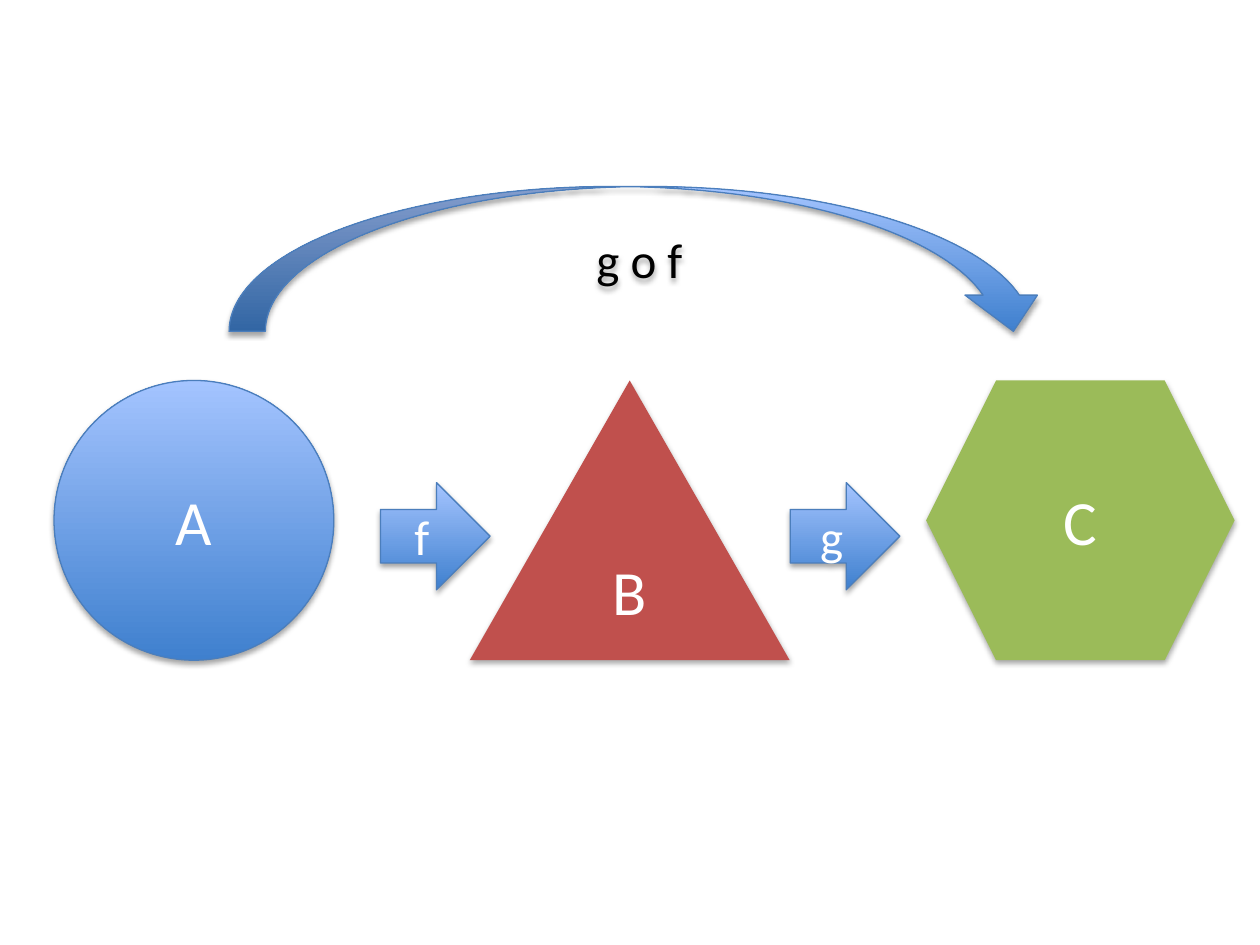
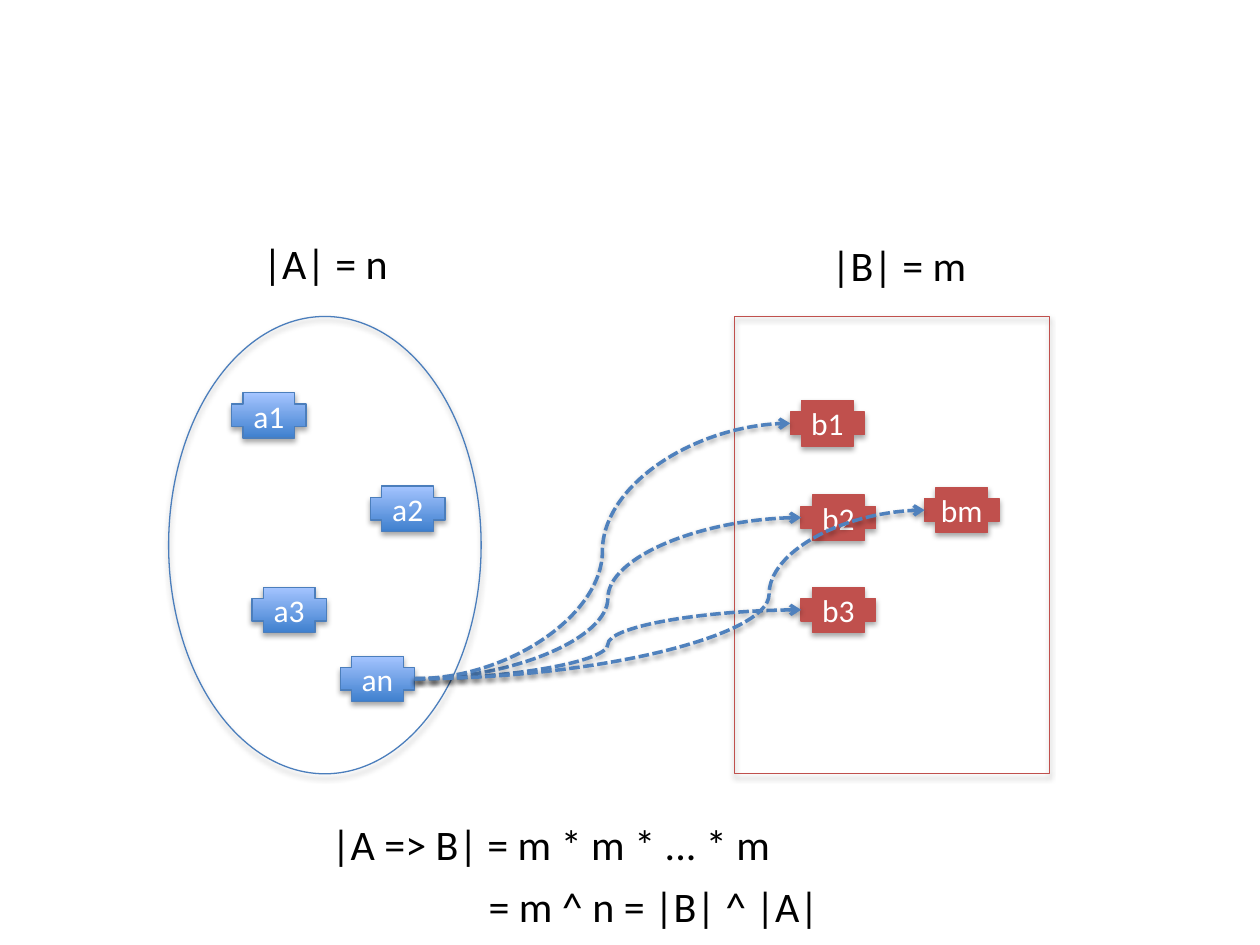
import lxml.etree
import pptx
import pptx.dml.color
import pptx.enum.dml
import pptx.enum.shapes
import pptx.enum.text
import pptx.oxml.ns
import pptx.util

Cm = pptx.util.Cm
Pt = pptx.util.Pt
PRESET = pptx.enum.shapes.MSO_SHAPE
qn = pptx.oxml.ns.qn

FONT = "Calibri"
WHITE, BLACK = "FFFFFF", "000000"
RED, GREEN = "C0504D", "9BBB59"
BLUE_GRADIENT = ("3F80CE", "A4C4FF")
BLUE_EDGE, BLUE_CURVE = "4B7EBC", "4F81BD"

OBJECT_TOP, OBJECT_HEIGHT = 7.67, 5.64
OBJECTS = [
    ("C", PRESET.HEXAGON, 18.67, 6.22, GREEN, None),
    ("A", PRESET.OVAL, 1.09, 5.64, BLUE_GRADIENT, BLUE_EDGE),
    ("B", PRESET.ISOSCELES_TRIANGLE, 9.47, 6.45, RED, None),
]
MORPHISMS = [
    ("f", PRESET.RIGHT_ARROW, (7.67, 9.73, 2.21, 2.16), WHITE),
    ("g", PRESET.RIGHT_ARROW, (15.93, 9.73, 2.21, 2.16), WHITE),
    ("g o f", PRESET.CURVED_DOWN_ARROW, (4.62, 3.76, 16.54, 2.92), BLACK),
]

SET_TOP, SET_HEIGHT = 6.38, 9.22
ELEMENT_SIZE = (1.5, 0.91)
A_ELEMENTS = {"a1": (4.67, 7.92), "a2": (7.47, 9.8), "a3": (5.08, 11.84), "an": (6.86, 13.23)}
B_ELEMENTS = {"b1": (15.93, 8.08), "b2": (16.15, 9.98), "b3": (16.15, 11.84), "bm": (18.64, 9.83)}
MAPPINGS = [("b3", 50000), ("b2", 50000), ("b1", 50000), ("bm", 69500)]
FORMULAS = [
    ("|A| = n", 5.05, 4.67, 3.05, False),
    ("|B| = m", 16.51, 4.7, 3.25, False),
    ("|A => B| = m * m * ... * m", 6.43, 16.38, 9.45, False),
    ("= m ^ n = |B| ^ |A|", 9.6, 17.63, 7.37, True),
]


def color(value):
    return pptx.dml.color.RGBColor.from_string(value)


def add_child(parent, tag, **attributes):
    return lxml.etree.SubElement(parent, qn(tag), attributes)


def add_shadow(effects, distance, opacity):
    shadow = add_child(effects, "a:outerShdw", blurRad="40000", dist=str(distance),
                       dir="5400000", rotWithShape="0")
    add_child(add_child(shadow, "a:srgbClr", val=BLACK), "a:alpha", val=str(opacity))


def write(shape, text, size, text_color):
    paragraph = shape.text_frame.paragraphs[0]
    paragraph.text = text
    font = paragraph.runs[0].font
    font.name = FONT
    font.size = Pt(size)
    font.color.rgb = color(text_color)
    return paragraph


def add_figure(slide, preset, box, fill, edge, text="", size=18, text_color=WHITE):
    shape = slide.shapes.add_shape(preset, *map(Cm, box))
    if fill is None:
        shape.fill.background()
    elif isinstance(fill, tuple):
        shape.fill.gradient()
        shape.fill.gradient_angle = 90
        for stop, value in zip(shape.fill.gradient_stops, fill):
            stop.color.rgb = color(value)
    else:
        shape.fill.solid()
        shape.fill.fore_color.rgb = color(fill)
    if edge is None:
        shape.line.fill.background()
    else:
        shape.line.color.rgb = color(edge)
        shape.line.width = Pt(0.75)
    shape.shadow.inherit = False
    add_shadow(shape._element.spPr.find(qn("a:effectLst")), 23000, 35000)
    if text:
        paragraph = write(shape, text, size, text_color)
        paragraph.alignment = pptx.enum.text.PP_ALIGN.CENTER
        shape.text_frame.vertical_anchor = pptx.enum.text.MSO_ANCHOR.MIDDLE
    return shape


def add_formula(slide, text, left, top, width, wrap):
    box = slide.shapes.add_textbox(Cm(left), Cm(top), Cm(width), Cm(1.27))
    box.text_frame.word_wrap = wrap
    box.text_frame.auto_size = pptx.enum.text.MSO_AUTO_SIZE.SHAPE_TO_FIT_TEXT
    write(box, text, 24, BLACK)


def add_mapping(slide, source, target, bend):
    connector = slide.shapes.add_connector(
        pptx.enum.shapes.MSO_CONNECTOR.CURVE,
        source.left + source.width, source.top + source.height // 2,
        target.left, target.top + target.height // 2)
    connector.begin_connect(source, 3)
    connector.end_connect(target, 1)
    connector.line.color.rgb = color(BLUE_CURVE)
    connector.line.width = Pt(2)
    connector.line.dash_style = pptx.enum.dml.MSO_LINE.SQUARE_DOT
    properties = connector._element.spPr
    add_child(properties.find(qn("a:ln")), "a:tailEnd", type="arrow")
    add_shadow(add_child(properties, "a:effectLst"), 20000, 38000)
    adjustments = properties.find(qn("a:prstGeom")).find(qn("a:avLst"))
    add_child(adjustments, "a:gd", name="adj1", fmla=f"val {bend}")


def build_composition(slide):
    for text, preset, box, text_color in MORPHISMS:
        add_figure(slide, preset, box, BLUE_GRADIENT, BLUE_EDGE, text, 28, text_color)
    for text, preset, left, width, fill, edge in OBJECTS:
        box = (left, OBJECT_TOP, width, OBJECT_HEIGHT)
        add_figure(slide, preset, box, fill, edge, text, 36)


def build_function_count(slide):
    add_figure(slide, PRESET.OVAL, (3.4, SET_TOP, 6.3, SET_HEIGHT), None, BLUE_EDGE)
    elements = {}
    for members, fill, edge in ((A_ELEMENTS, BLUE_GRADIENT, BLUE_EDGE), (B_ELEMENTS, RED, RED)):
        for name, position in members.items():
            elements[name] = add_figure(slide, PRESET.CROSS, position + ELEMENT_SIZE,
                                        fill, edge, name)
    add_figure(slide, PRESET.RECTANGLE, (14.81, SET_TOP, 6.35, SET_HEIGHT), None, RED)
    for formula in FORMULAS:
        add_formula(slide, *formula)
    for target, bend in MAPPINGS:
        add_mapping(slide, elements["an"], elements[target], bend)


def main():
    presentation = pptx.Presentation()
    presentation.slide_width = Cm(25.4)
    presentation.slide_height = Cm(19.05)
    for build in (build_composition, build_function_count):
        build(presentation.slides.add_slide(presentation.slide_layouts[6]))
    presentation.save("out.pptx")


if __name__ == "__main__":
    main()
